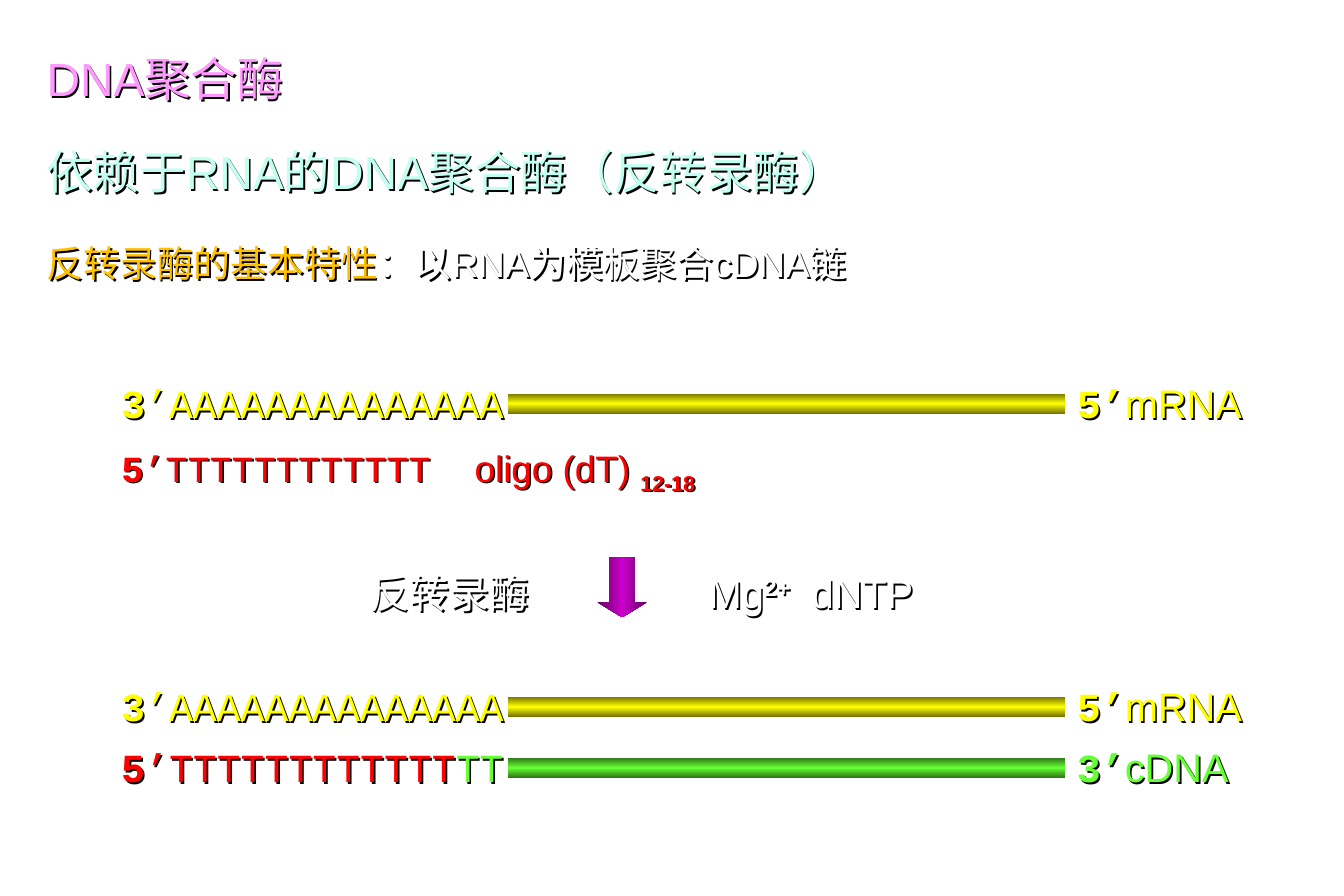
import copy
import pptx
import pptx.util
import pptx.dml.color
import pptx.enum.shapes
import pptx.oxml
import pptx.oxml.ns

Pt = pptx.util.Pt
SHAPES = pptx.enum.shapes.MSO_SHAPE
A_NS = pptx.oxml.ns.nsdecls("a")
SHADOW = (f'<a:effectLst {A_NS}><a:outerShdw dist="17961" dir="2700000" algn="tl">'
          '<a:srgbClr val="000000"/></a:outerShdw></a:effectLst>')

PINK, MINT, ORANGE, WHITE = "FF99FF", "C2FFF0", "FFC000", "FFFFFF"
YELLOW, RED, GREEN, PURPLE = "FFFF00", "FF0000", "66FF33", "CC00CC"
DARK = {YELLOW: "767600", GREEN: "2F7618", PURPLE: "5E005E"}
SANS, MONO = "Arial", "Courier New"


def add_label(left, top, width, height, size, runs, spacing=1.4, tab=None):
    """Each run is (text, font, colour, bold, baseline in percent)."""
    box = slide.shapes.add_textbox(Pt(left), Pt(top), Pt(width), Pt(height))
    box.text_frame.word_wrap = True
    # An unfilled box passes its shadow on to its letters
    box._element.spPr.append(pptx.oxml.parse_xml(SHADOW))
    line = box.text_frame.paragraphs[0]
    line.line_spacing = spacing
    if tab:
        line._p.get_or_add_pPr().append(pptx.oxml.parse_xml(
            f'<a:tabLst {A_NS}><a:tab pos="{Pt(tab)}" algn="l"/></a:tabLst>'))
    for text, font, colour, bold, baseline in runs:
        run = line.add_run()
        run.text = text
        run.font.size = Pt(size)
        run.font.name = font
        run.font.bold = bold
        run.font.color.rgb = pptx.dml.color.RGBColor.from_string(colour)
        if baseline:
            run.font._element.set("baseline", str(baseline * 1000))


def add_tube(kind, left, top, width, height, colour, angle):
    """Shape shaded from dark edges to a bright middle."""
    tube = slide.shapes.add_shape(kind, Pt(left), Pt(top), Pt(width), Pt(height))
    tube.shadow.inherit = False
    tube.line.fill.background()
    tube.fill.gradient()
    tube.fill.gradient_angle = angle
    stop_list = next(tube._element.iter(pptx.oxml.ns.qn("a:gsLst")))
    stop_list.append(copy.deepcopy(stop_list[0]))
    shades = (DARK[colour], colour, DARK[colour])
    for stop, shade, position in zip(tube.fill.gradient_stops, shades, (0, 0.5, 1)):
        stop.color.rgb = pptx.dml.color.RGBColor.from_string(shade)
        stop.position = position
    return tube


deck = pptx.Presentation()
deck.slide_width, deck.slide_height = Pt(810), Pt(540)
slide = deck.slides.add_slide(deck.slide_layouts[6])

# Headings
add_label(21, 13.25, 288, 55, 28, [("DNA聚合酶", SANS, PINK, False, 0)])
add_label(21, 69.25, 558, 55, 28,
          [("依赖于RNA的DNA聚合酶（反转录酶）", SANS, MINT, False, 0)])
add_label(21, 130.75, 549, 48, 22.2,
          [("反转录酶的基本特性", SANS, ORANGE, False, 0),
           ("：以RNA为模板聚合cDNA链", SANS, WHITE, False, 0)])

# Strands: row top, first end, bases as (text, colour), far end, name, colour
poly_a = [("’" + "A" * 14, YELLOW)]
poly_t = [("’" + "T" * 12, RED), ("TT", GREEN)]
strands = [
    (213.25, "3", poly_a, "5’", "mRNA", YELLOW),
    (396, "3", poly_a, "5’", "mRNA", YELLOW),
    (432.75, "5", poly_t, "3’", "cDNA", GREEN),
]
for top, first_end, bases, far_end, name, colour in strands:
    add_label(66, top, 288, 48, 24,
              [(first_end, MONO, bases[0][1], True, 0)]
              + [(text, MONO, base_colour, False, 0) for text, base_colour in bases])
    add_tube(SHAPES.RECTANGLE, 306, top + 24, 336, 12, colour, 90)
    add_label(642, top, 120, 48, 24,
              [(far_end, MONO, colour, True, 0), (name, SANS, colour, False, 0)])

# Primer
add_label(66, 255.75, 486, 48, 22.2,
          [("5", MONO, RED, True, 0),
           ("’" + "T" * 12 + "\t", MONO, RED, False, 0),
           ("oligo (dT) ", SANS, RED, False, 0),
           ("12-18", SANS, RED, True, -25)],
          spacing=1.3, tab=213)

# Reaction step
add_label(216, 327.75, 114, 48, 24, [("反转录酶", SANS, WHITE, False, 0)])
arrow = add_tube(SHAPES.DOWN_ARROW, 360, 336, 30, 36, PURPLE, 0)
arrow.adjustments[0], arrow.adjustments[1] = 0.5, 0.3
add_label(420, 327.75, 168, 48, 24,
          [("Mg", SANS, WHITE, False, 0),
           ("2+", SANS, WHITE, True, 30),
           ("\tdNTP", SANS, WHITE, False, 0)],
          tab=62)

deck.save("out.pptx")
